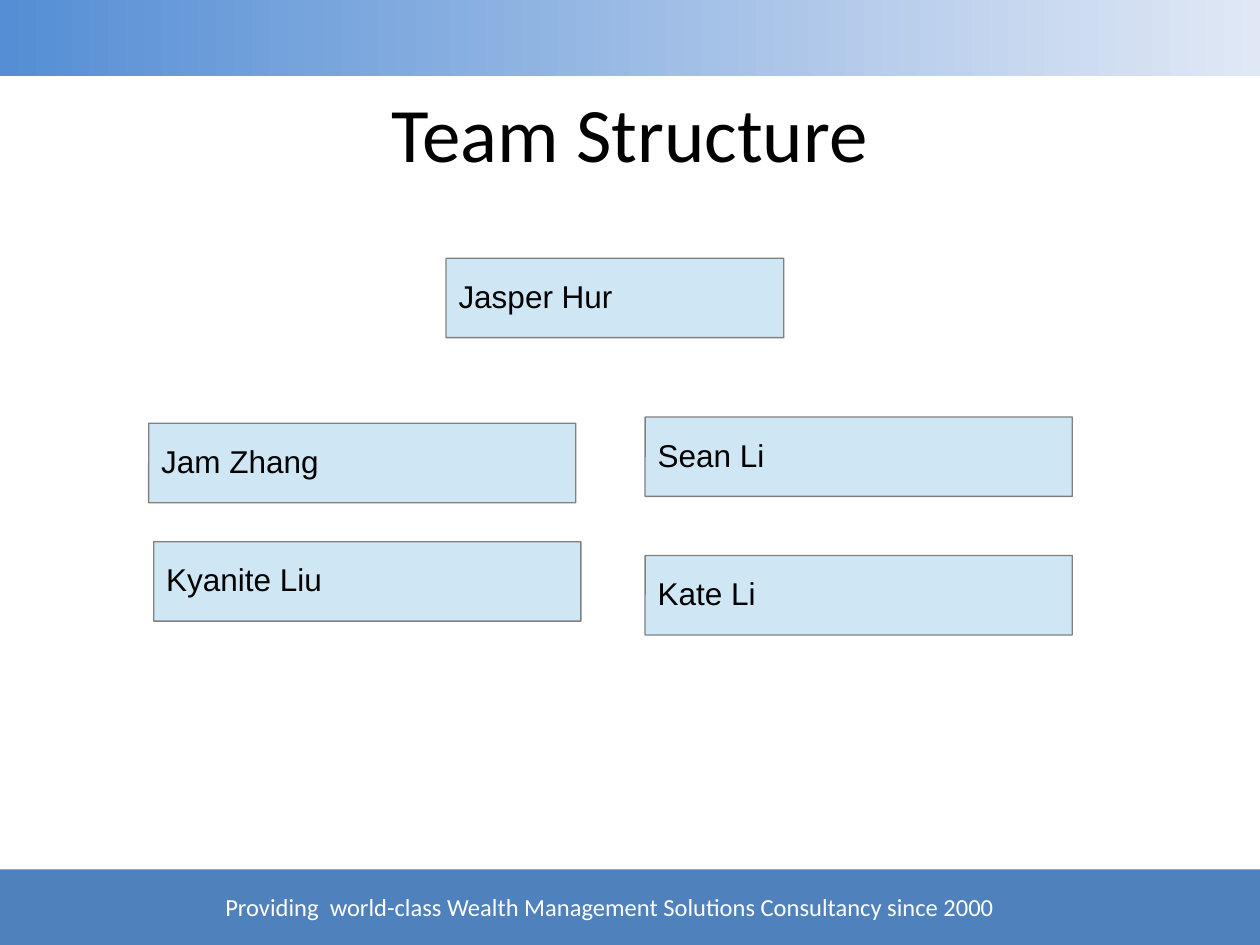
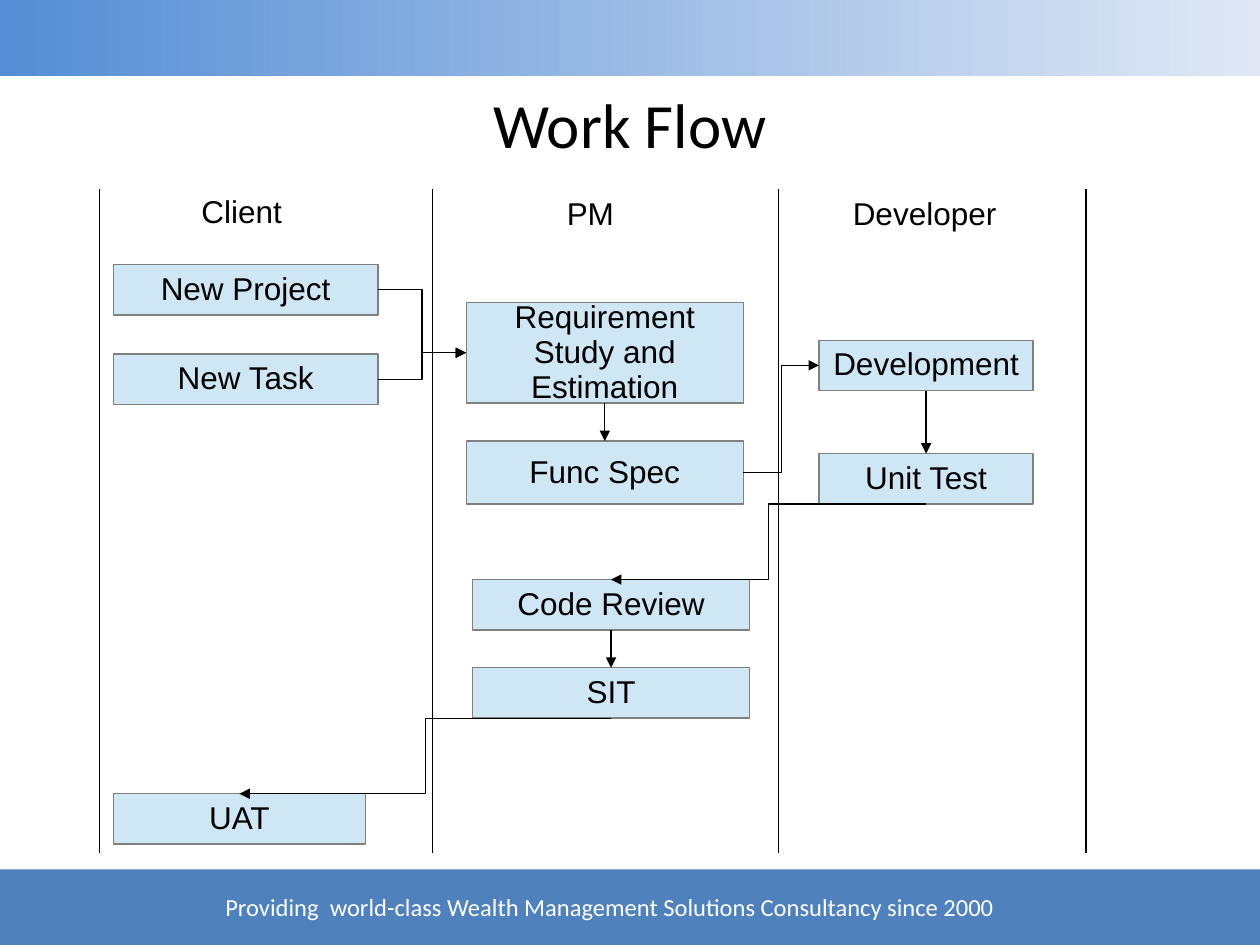
from dataclasses import dataclass

from pptx import Presentation
from pptx.dml.color import RGBColor as RGB
from pptx.enum.shapes import MSO_CONNECTOR as Wire, MSO_SHAPE as Form
from pptx.enum.text import MSO_ANCHOR as Anchor, MSO_AUTO_SIZE as Fit, PP_ALIGN as Align
from pptx.oxml.ns import qn
from pptx.oxml.xmlchemy import OxmlElement as Tag
from pptx.util import Inches, Pt


@dataclass(frozen=True)
class Theme:
    ink: str = "000000"
    white: str = "FFFFFF"
    box: str = "CFE7F5"
    edge: str = "808080"
    band: str = "4F81BD"
    fade: tuple = ("558ED5", "E0E8F5")
    head: str = "Calibri"
    body: str = "Arial"
    title: int = 44
    text: int = 18
    foot: int = 14
    line: float = 0.75


THEME = Theme()
TOP, LEFT, BOTTOM, RIGHT = range(4)  # connection sites of a box
FOOTER = "Providing  world-class Wealth Management Solutions Consultancy since 2000"


def write(frame, text, font=THEME.body, size=THEME.text, color=THEME.ink,
          align=Align.LEFT, anchor=Anchor.TOP, wrap=True, fit=Fit.NONE, space=None):
    """Fill a text frame with one formatted paragraph."""
    frame.text = text
    frame.word_wrap = wrap
    frame.auto_size = fit
    frame.vertical_anchor = anchor
    para = frame.paragraphs[0]
    para.alignment = align
    para.line_spacing = space
    para.font.name = font
    para.font.size = Pt(size)
    para.font.color.rgb = RGB.from_string(color)


class Deck:
    def __init__(self, theme):
        self.theme = theme
        self.file = Presentation()
        self.file.slide_width = Inches(10)
        self.file.slide_height = Inches(7.5)
        self.plan = self.file.slide_layouts.get_by_name("Title Only")
        self.slide = None

    def open(self, title, size=THEME.title):
        """Start a slide; the first one also sets up the shared frame."""
        first = self.slide is None
        self.slide = self.file.slides.add_slide(self.plan)
        if first:
            self.frame()
        head = self.slide.shapes.title
        head.left, head.top, head.width, head.height = map(Inches, (0.5, 0.63, 9, 0.93))
        write(head.text_frame, title, font=self.theme.head, size=size, align=Align.CENTER)

    def frame(self):
        """Draw bands and footer, then move them into the layout."""
        foot = self.shape(0, 6.9, 10, 0.6, fill=self.theme.band)
        note = self.label(FOOTER, 1.69, 7.03, 6.36, 0.33, font=self.theme.head,
                          size=self.theme.foot, color=self.theme.white,
                          wrap=True, fit=Fit.SHAPE_TO_FIT_TEXT, space=None)
        band = self.shape(0, 0, 10, 0.6)
        band.fill.gradient()
        band.fill.gradient_angle = 0
        for stop, color in zip(band.fill.gradient_stops, self.theme.fade):
            stop.color.rgb = RGB.from_string(color)
        tree = self.plan.shapes.element
        for step, part in enumerate((foot, note, band)):
            part.element.nvSpPr.cNvPr.set("id", str(20 + step))
            tree.insert(2 + step, part.element)

    def shape(self, x, y, w, h, fill=None, form=Form.RECTANGLE):
        item = self.slide.shapes.add_shape(form, *map(Inches, (x, y, w, h)))
        item.shadow.inherit = False
        item.line.fill.background()
        if fill:
            item.fill.solid()
            item.fill.fore_color.rgb = RGB.from_string(fill)
        return item

    def box(self, text, x, y, w, h=0.4, align=Align.CENTER, form=Form.RECTANGLE):
        item = self.shape(x, y, w, h, fill=self.theme.box, form=form)
        if form == Form.ROUNDED_RECTANGLE:
            item.adjustments[0] = 0.003
        item.line.color.rgb = RGB.from_string(self.theme.edge)
        item.line.width = Pt(self.theme.line)
        write(item.text_frame, text, align=align, anchor=Anchor.MIDDLE, space=0.93)
        return item

    def label(self, text, x, y, w, h=0.38, wrap=False, space=0.93, **style):
        item = self.slide.shapes.add_textbox(*map(Inches, (x, y, w, h)))
        write(item.text_frame, text, wrap=wrap, space=space, **style)
        return item

    def wire(self, start, end, kind=Wire.STRAIGHT, arrow=False):
        """Draw a line between two points given in inches."""
        item = self.slide.shapes.add_connector(kind, *map(Inches, (*start, *end)))
        item.line.color.rgb = RGB.from_string(self.theme.ink)
        item.line.width = Pt(self.theme.line)
        props = item.element.spPr
        if arrow:
            tip = Tag("a:tailEnd")
            tip.set("type", "triangle")
            props.find(qn("a:ln")).append(tip)
        props.append(Tag("a:effectLst"))
        return item

    def link(self, a, b, out, into, kind):
        """Join two boxes with an arrow that follows them."""
        item = self.wire((0, 0), (1, 1), kind, arrow=True)
        item.begin_connect(a, out)
        item.end_connect(b, into)

    def down(self, a, b):
        self.link(a, b, BOTTOM, TOP, Wire.STRAIGHT)

    def across(self, a, b):
        self.link(a, b, RIGHT, LEFT, Wire.ELBOW)

    def back(self, a, b):
        """Step from the foot of a box to the top of one further left."""
        start = (a.left + a.width / 2, a.top + a.height)
        end = (b.left + b.width / 2, b.top)
        self.wire(*([v / Inches(1) for v in p] for p in (start, end)), Wire.ELBOW, arrow=True)


def team(deck):
    deck.open("Team Structure")
    people = [("Jasper Hur", 3.54, 2.05, 2.68), ("Jam Zhang", 1.18, 3.36, 3.39),
              ("Sean Li", 5.12, 3.31, 3.39), ("Kyanite Liu", 1.22, 4.3, 3.39),
              ("Kate Li", 5.12, 4.41, 3.39)]
    for name, x, y, w in people:
        deck.box(name, x, y, w, 0.63, align=Align.LEFT, form=Form.ROUNDED_RECTANGLE)


def flow(deck):
    deck.open("Work Flow", size=36)

    # Lanes
    for x in (0.79, 3.43, 6.18, 8.62):
        deck.wire((x, 1.5), (x, 6.77))
    for role, x, y, w in (("Client", 1.5, 1.5, 1.09), ("PM", 4.4, 1.52, 0.57),
                          ("Developer", 6.67, 1.52, 1.33)):
        deck.label(role, x, y, w)

    # Steps
    project = deck.box("New Project", 0.9, 2.1, 2.1)
    task = deck.box("New Task", 0.9, 2.81, 2.1)
    study = deck.box("Requirement Study and Estimation", 3.7, 2.4, 2.2, 0.8)
    func = deck.box("Func Spec", 3.7, 3.5, 2.2, 0.5)
    build = deck.box("Development", 6.5, 2.7, 1.7)
    unit = deck.box("Unit Test", 6.5, 3.6, 1.7)
    review = deck.box("Code Review", 3.75, 4.6, 2.2)
    sit = deck.box("SIT", 3.75, 5.3, 2.2)
    uat = deck.box("UAT", 0.9, 6.3, 2)

    # Arrows
    for a, b in ((project, study), (task, study), (func, build)):
        deck.across(a, b)
    for a, b in ((study, func), (build, unit), (review, sit)):
        deck.down(a, b)
    for a, b in ((unit, review), (sit, uat)):
        deck.back(a, b)


def main():
    deck = Deck(THEME)
    team(deck)
    flow(deck)
    deck.file.save("out.pptx")


if __name__ == "__main__":
    main()
